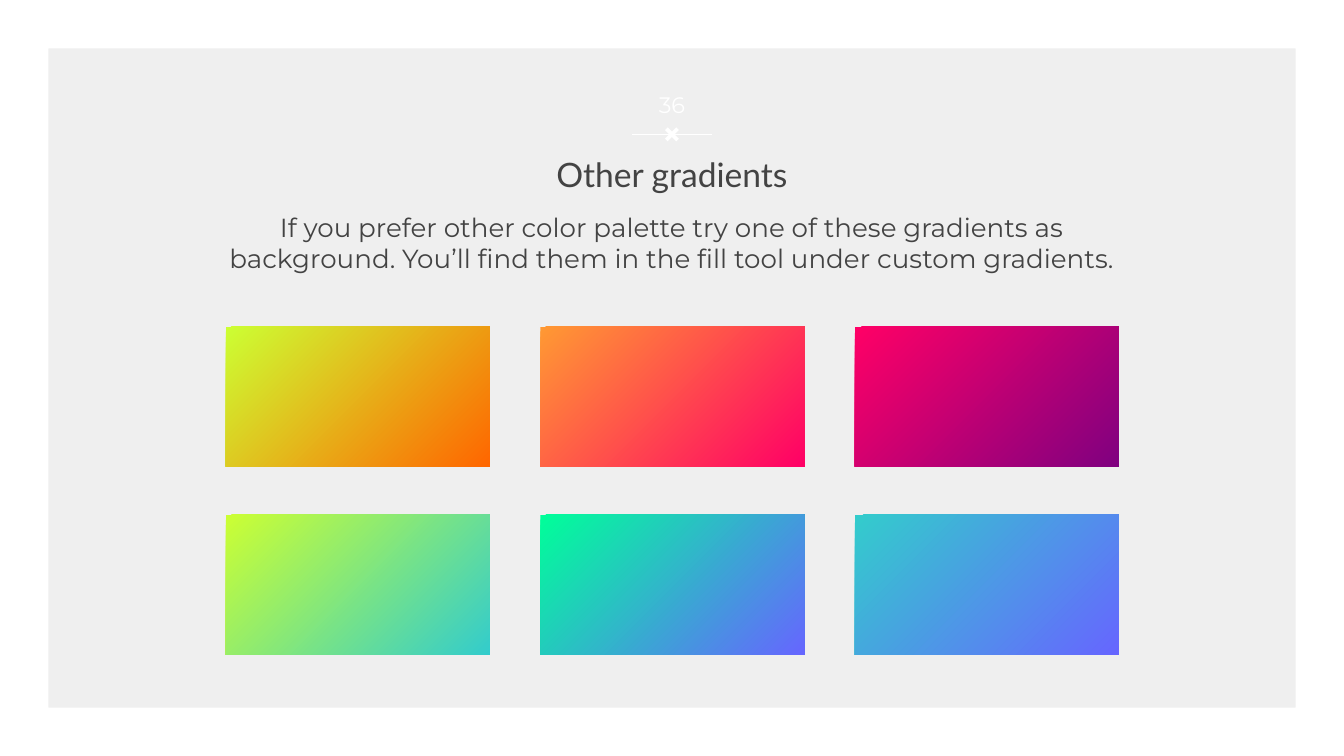
from dataclasses import dataclass

from lxml import etree
from pptx import Presentation
from pptx import util as u
from pptx.dml.color import RGBColor
from pptx.enum import shapes, text
from pptx.oxml import ns

Pt = u.Pt
Kind = shapes.MSO_SHAPE

WHITE = RGBColor(0xFF, 0xFF, 0xFF)
PALE = RGBColor(0xEF, 0xEF, 0xEF)
DARK = RGBColor(0x43, 0x43, 0x43)
LIME = RGBColor(0xCC, 0xFF, 0x33)
ORANGE = RGBColor(0xFF, 0x66, 0x00)
AMBER = RGBColor(0xFF, 0x99, 0x33)
PINK = RGBColor(0xFF, 0x00, 0x66)
PURPLE = RGBColor(0x80, 0x00, 0x80)
TEAL = RGBColor(0x33, 0xCC, 0xCC)
MINT = RGBColor(0x00, 0xFF, 0x99)
BLUE = RGBColor(0x66, 0x66, 0xFF)


@dataclass(frozen=True)
class Box:
    left: float
    top: float
    width: float
    height: float

    def lengths(self) -> tuple:
        return Pt(self.left), Pt(self.top), Pt(self.width), Pt(self.height)


@dataclass(frozen=True)
class Swatch:
    start: RGBColor
    end: RGBColor


SWATCHES = (
    (Swatch(LIME, ORANGE), Swatch(AMBER, PINK), Swatch(PINK, PURPLE)),
    (Swatch(LIME, TEAL), Swatch(MINT, BLUE), Swatch(TEAL, BLUE)),
)
FIRST = Box(121, 175, 141.5, 75)
STEP_X, STEP_Y = 168.5, 100.8


def place(shape, box: Box) -> None:
    shape.left, shape.top, shape.width, shape.height = box.lengths()


def write(shape, words: str, *, font: str, size: float, color: RGBColor,
          anchor=text.MSO_ANCHOR.TOP, before: float = 0) -> None:
    frame = shape.text_frame
    frame.word_wrap = True
    frame.auto_size = text.MSO_AUTO_SIZE.NONE
    frame.vertical_anchor = anchor
    frame.margin_left = frame.margin_right = Pt(7.2)
    frame.margin_top = frame.margin_bottom = Pt(7.2)
    para = frame.paragraphs[0]
    para.alignment = text.PP_ALIGN.CENTER
    para.space_before = Pt(before)
    run = para.add_run()
    run.text = words
    run.font.name = font
    run.font.size = Pt(size)
    run.font.color.rgb = color


def unbullet(shape) -> None:
    props = shape.text_frame.paragraphs[0]._p.get_or_add_pPr()
    props.set("marL", "0")
    props.set("indent", "0")
    etree.SubElement(props, ns.qn("a:buNone"))


def draw(slide, kind, box: Box):
    shape = slide.shapes.add_shape(kind, *box.lengths())
    shape.shadow.inherit = False
    shape.line.fill.background()
    return shape


def draw_mark(slide, kind, box: Box, adjust: float) -> None:
    shape = draw(slide, kind, box)
    shape.adjustments[0] = adjust
    shape.fill.solid()
    shape.fill.fore_color.rgb = WHITE


def draw_rule(slide, left: float, right: float, top: float) -> None:
    rule = slide.shapes.add_connector(
        shapes.MSO_CONNECTOR.STRAIGHT, Pt(left), Pt(top), Pt(right), Pt(top))
    rule.line.color.rgb = WHITE
    rule.line.width = Pt(0.75)
    etree.SubElement(rule._element.spPr, ns.qn("a:effectLst"))


def draw_swatch(slide, swatch: Swatch, box: Box) -> None:
    fill = draw(slide, Kind.RECTANGLE, box).fill
    fill.gradient()
    fill.gradient_angle = 315
    for stop, spot, color in zip(fill.gradient_stops, (0, 1),
                                 (swatch.start, swatch.end)):
        stop.position = spot
        stop.color.rgb = color


def main() -> None:
    deck = Presentation()
    deck.slide_width, deck.slide_height = Pt(720), Pt(405)
    slide = deck.slides.add_slide(deck.slide_layouts[1])
    slide.background.fill.solid()
    slide.background.fill.fore_color.rgb = PALE

    draw_mark(slide, Kind.FRAME, Box(0, 0, 720, 405), 0.064)
    draw_rule(slide, 338.4, 381.6, 72)
    draw_mark(slide, Kind.MATH_MULTIPLY, Box(354.2, 66.2, 11.6, 11.6), 0.174)

    number = slide.shapes.add_textbox(*Box(330, 41, 60, 30).lengths())
    write(number, "36", font="Montserrat", size=12, color=WHITE,
          anchor=text.MSO_ANCHOR.MIDDLE)

    title = slide.shapes.title
    place(title, Box(26, 78, 668, 31))
    write(title, "Other gradients", font="Lato", size=18, color=DARK,
          anchor=text.MSO_ANCHOR.MIDDLE)

    body = slide.placeholders[1]
    place(body, Box(112.5, 106, 495, 77))
    write(body, "If you prefer other color palette try one of these gradients "
          "as background. You’ll find them in the fill tool under custom "
          "gradients.", font="Montserrat", size=14, color=DARK, before=6)
    unbullet(body)

    for row, line in enumerate(SWATCHES):
        for col, swatch in enumerate(line):
            draw_swatch(slide, swatch, Box(
                FIRST.left + col * STEP_X, FIRST.top + row * STEP_Y,
                FIRST.width, FIRST.height))

    deck.save("out.pptx")


if __name__ == "__main__":
    main()
